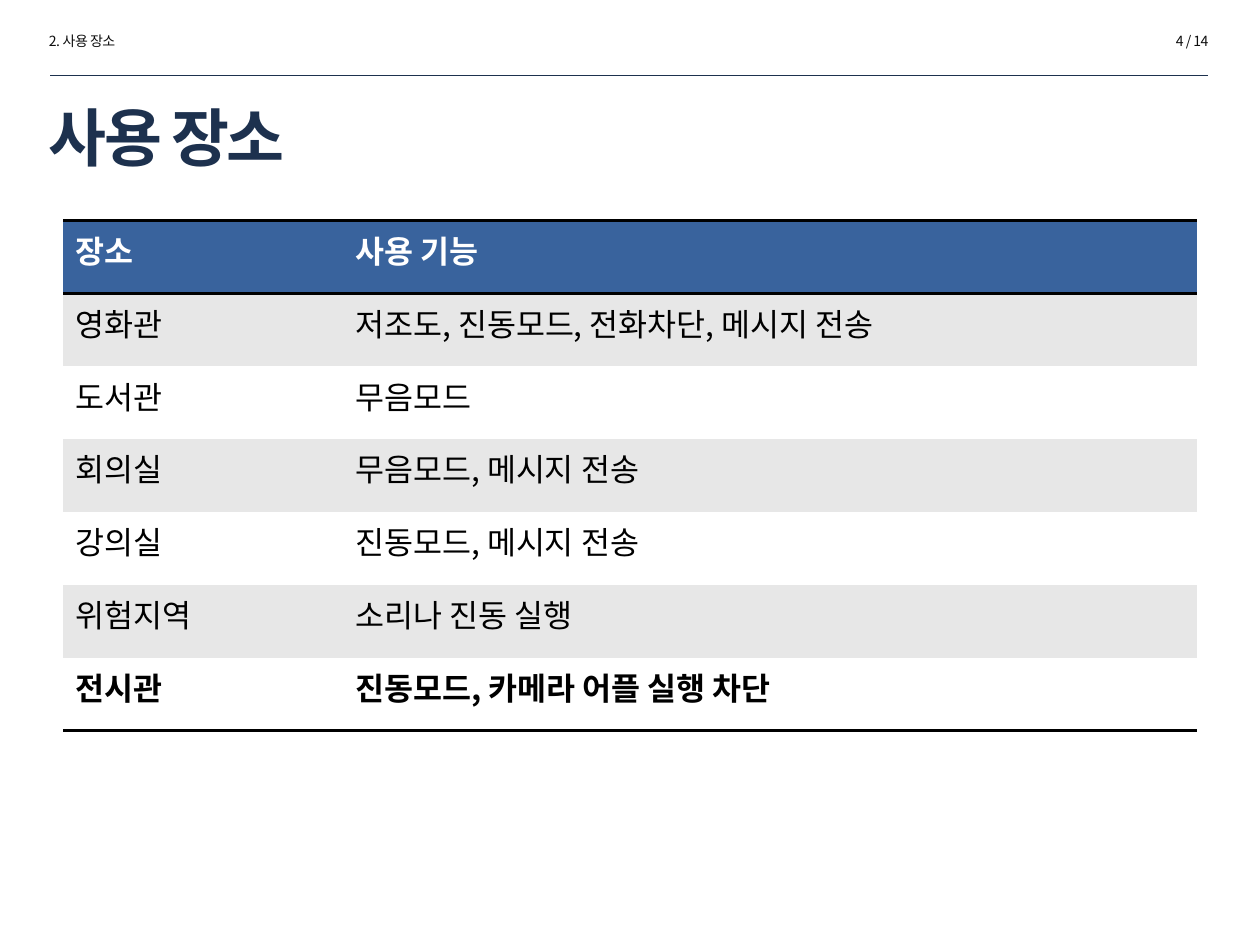
from lxml import etree
from pptx import Presentation
from pptx.dml.color import RGBColor
from pptx.enum.shapes import MSO_CONNECTOR
from pptx.enum.text import MSO_ANCHOR, PP_ALIGN
from pptx.oxml.ns import qn
from pptx.util import Inches, Pt

STRAIGHT = MSO_CONNECTOR.STRAIGHT
LEFT, RIGHT = PP_ALIGN.LEFT, PP_ALIGN.RIGHT
TOP, MIDDLE = MSO_ANCHOR.TOP, MSO_ANCHOR.MIDDLE
FONT = "Noto Sans CJK KR"
PLAIN_TABLE_STYLE = "{2D5ABB26-0587-4C30-8999-92F81FD0307C}"
NAVY, INK, BLACK, WHITE = "1D314E", "0D0D0D", "000000", "FFFFFF"
HEADER_BLUE, BAND_GREY = "39639D", "E7E7E7"
COLUMN_WIDTHS = (2.22, 6.78)
TABLE_HEIGHT = 4.05
ROWS = (
    ("장소", "사용 기능"),
    ("영화관", "저조도, 진동모드, 전화차단, 메시지 전송"),
    ("도서관", "무음모드"),
    ("회의실", "무음모드, 메시지 전송"),
    ("강의실", "진동모드, 메시지 전송"),
    ("위험지역", "소리나 진동 실행"),
    ("전시관", "진동모드, 카메라 어플 실행 차단"),
)


def color(value):
    return RGBColor.from_string(value)


def format_text(text_frame, size, text_color, bold=False, spacing=0):
    for paragraph in text_frame.paragraphs:
        for run in paragraph.runs:
            font = run.font
            font.name = FONT
            font.size = Pt(size)
            font.bold = bold
            font.color.rgb = color(text_color)
            properties = run._r.get_or_add_rPr()
            etree.SubElement(properties, qn("a:ea")).set("typeface", FONT)
            if spacing:
                properties.set("spc", str(round(spacing * 100)))


def add_text(slide, text, box, size, text_color, bold=False, spacing=0,
             align=LEFT, anchor=TOP):
    text_frame = slide.shapes.add_textbox(*map(Inches, box)).text_frame
    text_frame.word_wrap = True
    text_frame.vertical_anchor = anchor
    text_frame.text = text
    text_frame.paragraphs[0].alignment = align
    format_text(text_frame, size, text_color, bold, spacing)


def add_rule(slide, left, right, top):
    rule = slide.shapes.add_connector(
        STRAIGHT, Inches(left), Inches(top), Inches(right), Inches(top))
    rule.line.color.rgb = color(NAVY)
    rule.line.width = Pt(0.25)
    etree.SubElement(rule._element.spPr, qn("a:effectLst"))


def add_borders(cell, sides):
    properties = cell._tc.get_or_add_tcPr()
    for position, side in enumerate(sides):
        line = etree.Element(qn(f"a:ln{side}"), w=str(Pt(2)))
        fill = etree.SubElement(line, qn("a:solidFill"))
        etree.SubElement(fill, qn("a:srgbClr")).set("val", BLACK)
        properties.insert(position, line)


def add_places_table(slide, left, top):
    table = slide.shapes.add_table(
        len(ROWS), len(COLUMN_WIDTHS), Inches(left), Inches(top),
        Inches(sum(COLUMN_WIDTHS)), Inches(TABLE_HEIGHT)).table
    table._tbl.tblPr.find(qn("a:tableStyleId")).text = PLAIN_TABLE_STYLE
    for column, width in zip(table.columns, COLUMN_WIDTHS):
        column.width = Inches(width)
    last = len(ROWS) - 1
    borders = {0: "TB", last: "B"}
    for row_index, texts in enumerate(ROWS):
        header = row_index == 0
        band = BAND_GREY if row_index % 2 else WHITE
        for column_index, text in enumerate(texts):
            cell = table.cell(row_index, column_index)
            cell.text_frame.text = text
            format_text(cell.text_frame, 18, WHITE if header else BLACK,
                        bold=row_index in (0, last))
            cell.fill.solid()
            cell.fill.fore_color.rgb = color(HEADER_BLUE if header else band)
            add_borders(cell, borders.get(row_index, ""))


def main():
    presentation = Presentation()
    presentation.slide_width = Inches(10)
    presentation.slide_height = Inches(7.5)
    slide = presentation.slides.add_slide(presentation.slide_layouts[6])
    add_text(slide, "2. 사용 장소", (0.29, 0.21, 1.73, 0.24), 8, INK, spacing=-0.3)
    add_rule(slide, 0.4, 9.59, 0.6)
    add_text(slide, "4 / 14", (7.96, 0.21, 1.73, 0.24), 8, INK,
             spacing=-0.3, align=RIGHT)
    add_text(slide, "사용 장소", (0.29, 0.72, 9.27, 0.73), 36, NAVY,
             bold=True, spacing=-1.5, anchor=MIDDLE)
    add_places_table(slide, 0.5, 1.75)
    presentation.save("out.pptx")


main()
